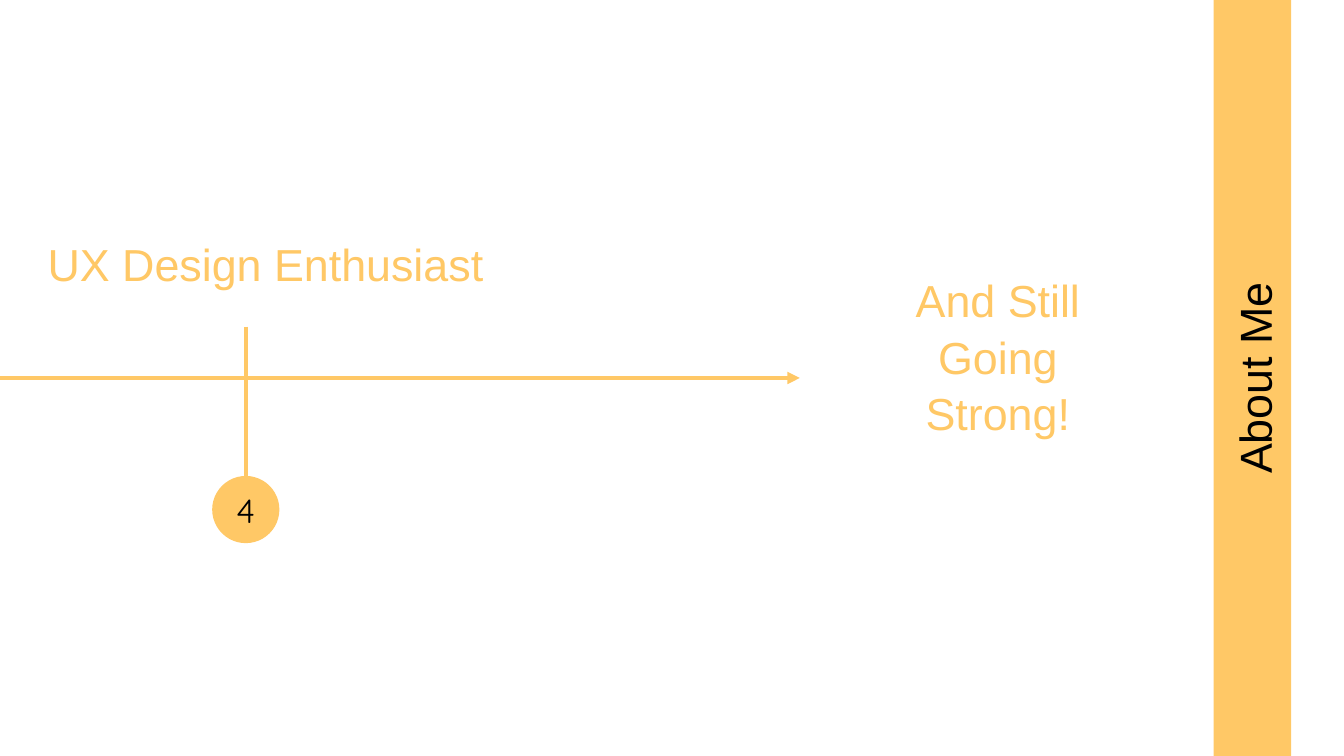
from lxml import etree
from pptx import Presentation
from pptx.dml.color import RGBColor
from pptx.enum import shapes, text
from pptx.oxml import ns
from pptx.util import Pt

COLORS = {"accent": "FFC866", "ink": "000000"}


def write(shape, words, font, size, color, anchor):
    frame = shape.text_frame
    frame.text = words
    frame.word_wrap = True
    frame.auto_size = text.MSO_AUTO_SIZE.NONE
    frame.vertical_anchor = anchor
    frame.margin_left = frame.margin_right = Pt(7.2)
    frame.margin_top = frame.margin_bottom = Pt(7.2)
    paragraph = frame.paragraphs[0]
    paragraph.alignment = text.PP_ALIGN.CENTER
    paragraph.line_spacing = 1.05
    paragraph.font.name = font
    paragraph.font.size = Pt(size)
    paragraph.font.color.rgb = RGBColor.from_string(COLORS[color])


def fill_accent(shape):
    shape.shadow.inherit = False
    shape.fill.solid()
    shape.fill.fore_color.rgb = RGBColor.from_string(COLORS["accent"])
    shape.line.fill.background()


prs = Presentation()
prs.slide_width, prs.slide_height = Pt(720), Pt(405)
slide = prs.slides.add_slide(prs.slide_layouts[5])

# Side band with the rotated title on top of it
band = slide.shapes.add_shape(
    shapes.MSO_SHAPE.RECTANGLE, Pt(650.2), 0, Pt(41.5), prs.slide_height)
fill_accent(band)

title = slide.shapes.title
title.left, title.top, title.width, title.height = Pt(335.5), Pt(180), Pt(671), Pt(45)
title.rotation = 270
write(title, "About Me", "Arial", 24, "ink", text.MSO_ANCHOR.MIDDLE)
band._element.addnext(title._element)

# Milestone marker
milestone = slide.shapes.add_shape(
    shapes.MSO_SHAPE.OVAL, Pt(113.7), Pt(255), Pt(36), Pt(36))
fill_accent(milestone)
write(milestone, "4", "Quicksand", 18, "ink", text.MSO_ANCHOR.MIDDLE)

# Timeline and the stem down to the milestone
timeline, stem = [
    slide.shapes.add_connector(
        shapes.MSO_CONNECTOR.STRAIGHT, Pt(x1), Pt(y1), Pt(x2), Pt(y2))
    for x1, y1, x2, y2 in [(-45, 202.5, 428.5, 202.5), (131.7, 175, 131.7, 255)]
]
for connector in (timeline, stem):
    connector.line.color.rgb = RGBColor.from_string(COLORS["accent"])
    connector.line.width = Pt(2.25)
    etree.SubElement(connector._element.spPr, ns.qn("a:effectLst"))
stem.end_connect(milestone, 0)
etree.SubElement(timeline.line._get_or_add_ln(), ns.qn("a:tailEnd"), type="triangle")

# Captions
for words, left, top, width, height in [
    ("UX Design Enthusiast", 14.4, 122.4, 255.6, 40.3),
    ("And Still Going Strong!", 456.5, 162.7, 156.2, 80),
]:
    caption = slide.shapes.add_textbox(Pt(left), Pt(top), Pt(width), Pt(height))
    write(caption, words, "Arial", 24, "accent", text.MSO_ANCHOR.BOTTOM)

prs.save("out.pptx")
